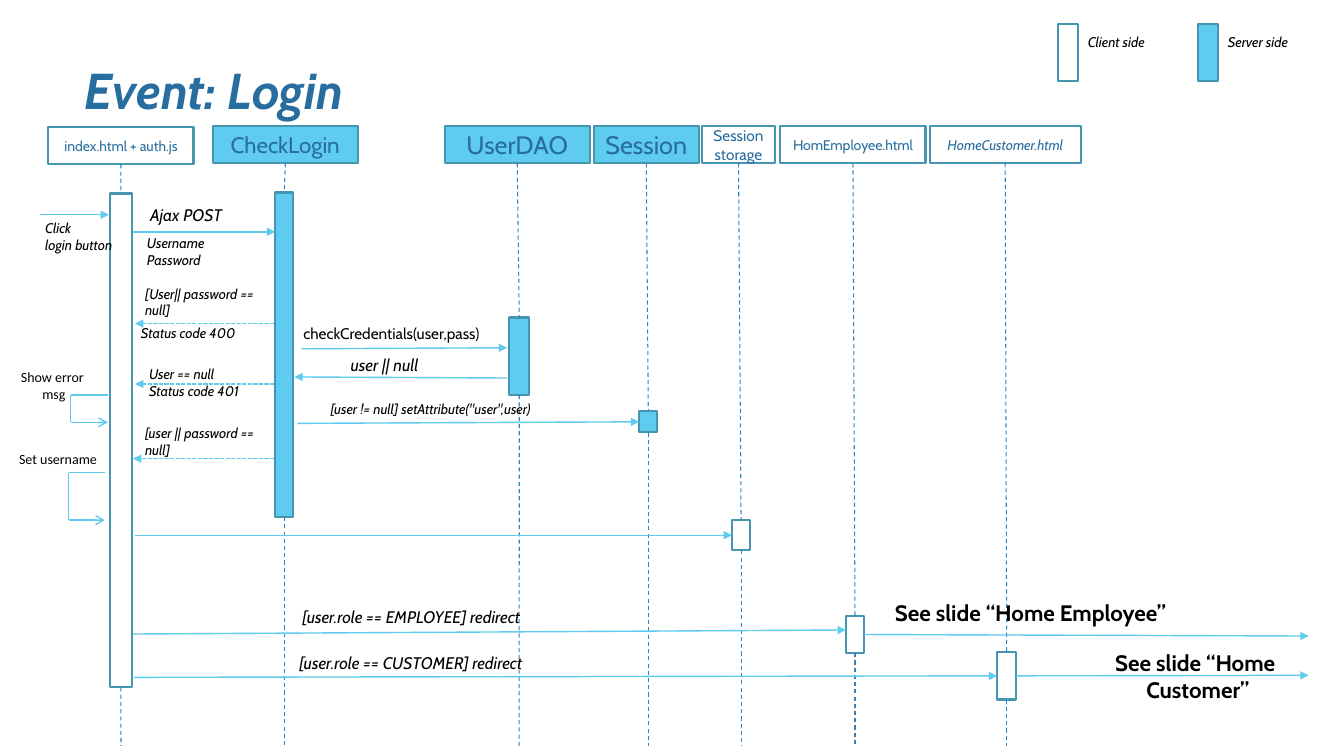
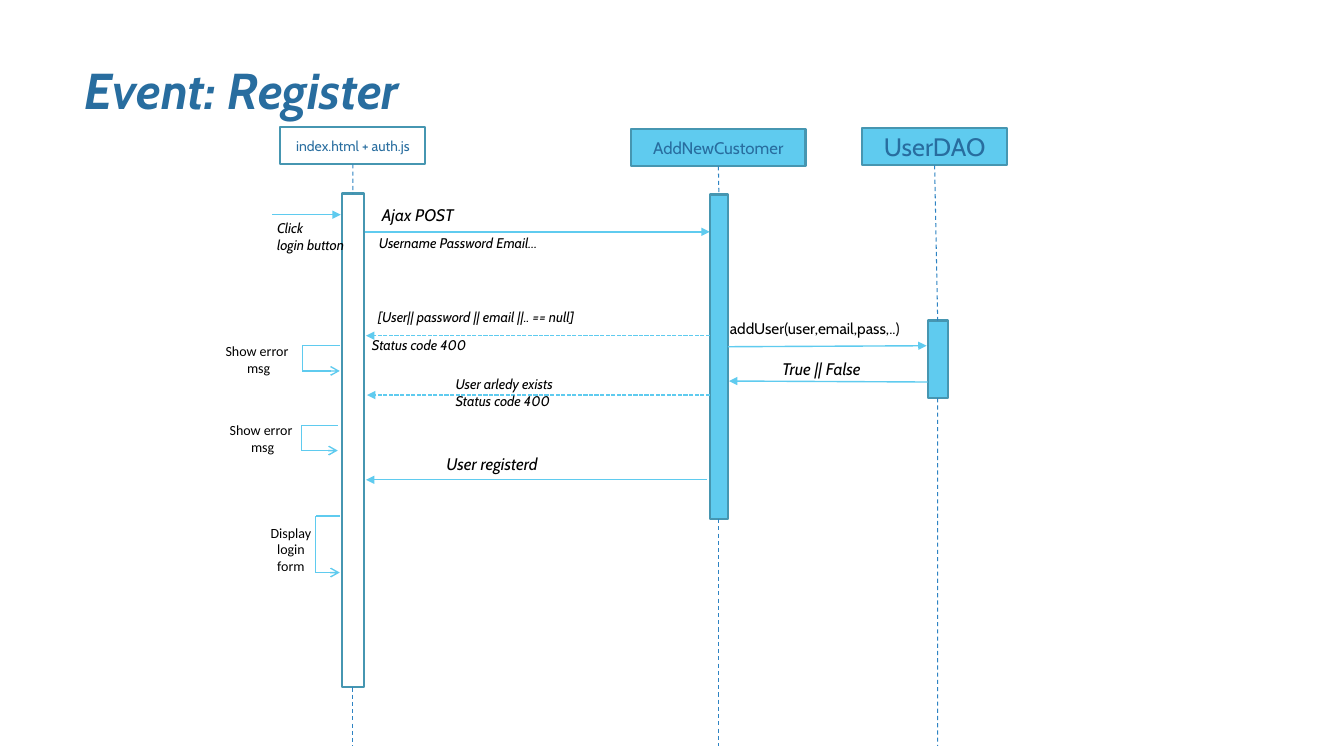
from pptx import Presentation
from pptx.dml.color import RGBColor
from pptx.enum.dml import MSO_LINE
from pptx.enum.shapes import MSO_CONNECTOR, MSO_SHAPE
from pptx.enum.text import MSO_ANCHOR, PP_ALIGN
from pptx.oxml.ns import qn
from pptx.util import Inches, Pt
from lxml.etree import SubElement

BLUE, SKY, EDGE, DASH = "286D9F", "5FCBEF", "4696B1", "2E83C3"
WHITE, BLACK = "FFFFFF", "000000"
FOOT = 7.4  # where the lifelines end
TOP, LEFT, BOTTOM, RIGHT = range(4)


def color(code):
    return RGBColor.from_string(code)


def write(frame, words, size=10, font="Cabin", ink=BLACK, bold=False,
          italic=False, align=PP_ALIGN.LEFT, anchor=MSO_ANCHOR.TOP, wrap=True):
    """Fill a text frame; each line of words is a paragraph."""
    frame.text = words
    frame.word_wrap = wrap
    frame.vertical_anchor = anchor
    for para in frame.paragraphs:
        para.alignment = align
        for run in para.runs:
            run.font.size = Pt(size)
            run.font.name = font
            run.font.bold = bold
            run.font.italic = italic
            run.font.color.rgb = color(ink)


def label(slide, words, box, italic=True, **style):
    item = slide.shapes.add_textbox(*map(Inches, box))
    write(item.text_frame, words, italic=italic, **style)


def note(slide, words, box, wrap=False):
    """Centred remark beside a self call."""
    label(slide, words, box, italic=False, font="Calibri",
          align=PP_ALIGN.CENTER, wrap=wrap)


def block(slide, box, fill):
    item = slide.shapes.add_shape(MSO_SHAPE.RECTANGLE, *map(Inches, box))
    item.shadow.inherit = False
    item.fill.solid()
    item.fill.fore_color.rgb = color(fill)
    item.line.color.rgb = color(EDGE)
    item.line.width = Pt(1.5)
    return item


def line(slide, start, end, ink=SKY, width=1, dash=None, head=None,
         source=None, target=None):
    """Straight line; source and target are (shape, side) joints."""
    item = slide.shapes.add_connector(
        MSO_CONNECTOR.STRAIGHT, *map(Inches, (*start, *end)))
    item.line.color.rgb = color(ink)
    item.line.width = Pt(width)
    if dash:
        item.line.dash_style = dash
    if head:
        SubElement(item.line._get_or_add_ln(), qn("a:tailEnd"), type=head)
    SubElement(item._element.spPr, qn("a:effectLst"))
    if source:
        item.begin_connect(*source)
    if target:
        item.end_connect(*target)


def arrow(slide, start, end, **style):
    line(slide, start, end, head="triangle", **style)


def reply(slide, start, end):
    arrow(slide, start, end, dash=MSO_LINE.SQUARE_DOT)


def loop(slide, box):
    """Self call: out to the left, down and back."""
    x, y, w, h = box
    line(slide, (x + w, y), (x, y))
    line(slide, (x, y), (x, y + h))
    line(slide, (x, y + h), (x + w, y + h), head="arrow")


def actor(slide, name, head, bar, fill=SKY, size=10, italic=False):
    """Header, activation bar and the dashed lifeline through both."""
    top = block(slide, head, fill)
    write(top.text_frame, name, size=size, ink=BLUE, italic=italic,
          align=PP_ALIGN.CENTER, anchor=MSO_ANCHOR.MIDDLE)
    body = block(slide, bar, fill)
    x, y, w, h = bar
    mid = x + w / 2
    life = dict(ink=DASH, width=0.75, dash=MSO_LINE.DASH)
    line(slide, (mid, head[1] + head[3]), (mid, y),
         source=(top, BOTTOM), target=(body, TOP), **life)
    line(slide, (mid, y + h), (mid, FOOT), source=(body, BOTTOM), **life)
    return body


def client(slide, x, goal, sent, width):
    """Browser column at x, its click and its request to the bar at goal."""
    actor(slide, "index.html + auth.js", (x, 1.26, 1.44, 0.37),
          (x + 0.61, 1.92, 0.22, 4.9), fill=WHITE)
    arrow(slide, (x - 0.08, 2.13), (x + 0.6, 2.13))
    label(slide, "Click\nlogin button", (x - 0.13, 2.13, 0.89, 0.61))
    arrow(slide, (x + 0.84, 2.3), (goal, 2.3))
    label(slide, "Ajax POST", (x + 0.91, 1.98, 1.13, 0.3), size=12)
    label(slide, sent, (x + 0.88, 2.28, width, 0.5))


def page(deck, title):
    slide = deck.slides.add_slide(deck.slide_layouts[5])
    head = slide.shapes.title
    head.left, head.top, head.width, head.height = map(
        Inches, (0.74, 0.52, 9.4, 0.74))
    write(head.text_frame, title, size=36, ink=BLUE, bold=True, italic=True,
          anchor=MSO_ANCHOR.MIDDLE)
    return slide


def legend(slide, x, y):
    for i, (name, fill) in enumerate([("Client side", WHITE),
                                      ("Server side", SKY)]):
        left = x + i * 1.39
        block(slide, (left, y, 0.2, 0.56), fill)
        label(slide, name, (left + 0.2, y + 0.04, 0.89, 0.27))


def login(deck):
    slide = page(deck, "Event: Login")
    legend(slide, 10.49, 0.24)

    # Columns
    client(slide, 0.48, 2.73, "Username\nPassword", 1.13)
    actor(slide, "CheckLogin", (2.11, 1.25, 1.44, 0.37),
          (2.73, 1.91, 0.18, 3.22), size=16)
    actor(slide, "UserDAO", (4.41, 1.25, 1.44, 0.37),
          (5.05, 3.15, 0.2, 0.77), size=18)
    state = actor(slide, "Session", (5.89, 1.25, 1.04, 0.37),
                  (6.34, 4.08, 0.18, 0.21), size=18)
    store = actor(slide, "Session storage", (6.96, 1.25, 0.73, 0.37),
                  (7.26, 5.16, 0.18, 0.3), fill=WHITE, size=11)
    staff = actor(slide, "HomEmployee.html", (7.74, 1.25, 1.44, 0.37),
                  (8.39, 6.11, 0.18, 0.37), fill=WHITE)
    buyer = actor(slide, "HomeCustomer.html", (9.22, 1.25, 1.5, 0.37),
                  (9.89, 6.47, 0.19, 0.47), fill=WHITE, italic=True)

    # Calls between server parts
    arrow(slide, (2.99, 3.46), (5.03, 3.45))
    label(slide, "checkCredentials(user,pass)", (2.91, 3.17, 2.53, 0.29),
          size=11, italic=False)
    arrow(slide, (5.03, 3.75), (2.92, 3.74))
    label(slide, "user || null", (3.38, 3.47, 1.5, 0.3), size=12)
    arrow(slide, (2.95, 4.2), (6.34, 4.19), target=(state, LEFT))
    label(slide, '[user != null] setAttribute("user",user)',
          (3.18, 3.92, 3.44, 0.27))

    # Replies to the browser
    for x, y in [(1.34, 3.21), (1.34, 3.81), (1.32, 4.55)]:
        reply(slide, (2.72, y), (x, y))
    for words, box in [
        ("[User|| password == null]", (1.34, 2.78, 1.34, 0.44)),
        ("Status code 400", (1.3, 3.17, 1.21, 0.27)),
        ("User == null\nStatus code 401", (1.38, 3.58, 1.34, 0.44)),
        ("[user || password == null]", (1.34, 4.16, 1.3, 0.44)),
    ]:
        label(slide, words, box)

    # Browser's own steps
    loop(slide, (0.7, 3.92, 0.37, 0.27))
    note(slide, "Show error \nmsg", (0.1, 3.61, 0.87, 0.44))
    loop(slide, (0.68, 4.69, 0.36, 0.47))
    note(slide, "Set username", (0.08, 4.42, 0.99, 0.27))

    # Storage and redirects
    arrow(slide, (1.34, 5.31), (7.26, 5.31), target=(store, LEFT))
    arrow(slide, (1.32, 6.29), (8.39, 6.25))
    label(slide, "[user.role == EMPLOYEE] redirect",
          (2.9, 5.97, 3.3, 0.3), size=12)
    arrow(slide, (1.33, 6.72), (9.89, 6.7), target=(buyer, LEFT))
    label(slide, "[user.role == CUSTOMER] redirect",
          (2.87, 6.43, 3.44, 0.3), size=12)
    arrow(slide, (8.57, 6.3), (12.98, 6.31), source=(staff, RIGHT))
    arrow(slide, (10.08, 6.7), (12.98, 6.7), source=(buyer, RIGHT))
    big = dict(size=16, bold=True, italic=False, align=PP_ALIGN.CENTER)
    label(slide, "See slide “Home Employee”", (8.64, 5.89, 3.16, 0.37),
          wrap=False, **big)
    label(slide, "See slide “Home \nCustomer”", (10.61, 6.39, 2.54, 0.64),
          **big)


def register(deck):
    slide = page(deck, "Event: Register")

    # Columns
    client(slide, 2.78, 7.04, "Username Password Email…", 3.3)
    actor(slide, "AddNewCustomer", (6.26, 1.28, 1.73, 0.37),
          (7.04, 1.93, 0.18, 3.22), size=12)
    actor(slide, "UserDAO", (8.55, 1.27, 1.44, 0.37),
          (9.2, 3.18, 0.2, 0.77), size=18)

    # Calls between server parts
    arrow(slide, (7.22, 3.44), (9.19, 3.43))
    label(slide, "addUser(user,email,pass,..)", (7.14, 3.12, 2.53, 0.29),
          size=11, italic=False)
    arrow(slide, (9.2, 3.79), (7.23, 3.78))
    label(slide, "True || False", (7.66, 3.51, 1.5, 0.3), size=12)

    # Replies to the browser
    reply(slide, (7.04, 3.33), (3.63, 3.33))
    reply(slide, (7.04, 3.92), (3.64, 3.92))
    for words, box in [
        ("[User|| password || email ||.. == null]", (3.65, 3.01, 3.15, 0.27)),
        ("Status code 400", (3.59, 3.29, 1.21, 0.27)),
        ("User arledy exists\nStatus code 400", (4.42, 3.68, 1.43, 0.44)),
    ]:
        label(slide, words, box)
    arrow(slide, (7.01, 4.76), (3.63, 4.76))
    label(slide, "User registerd", (4.33, 4.45, 1.5, 0.3), size=12)

    # Browser's own steps
    loop(slide, (3, 3.43, 0.37, 0.25))
    note(slide, "Show error \nmsg", (2.13, 3.35, 0.87, 0.44))
    loop(slide, (2.99, 4.22, 0.36, 0.25))
    note(slide, "Show error \nmsg", (2.17, 4.13, 0.87, 0.44))
    loop(slide, (3.13, 5.12, 0.24, 0.56))
    note(slide, "Display login form", (2.58, 5.15, 0.61, 0.61), wrap=True)


def main():
    deck = Presentation()
    deck.slide_width, deck.slide_height = Inches(13.33), Inches(7.5)
    login(deck)
    register(deck)
    deck.save("out.pptx")


if __name__ == "__main__":
    main()
